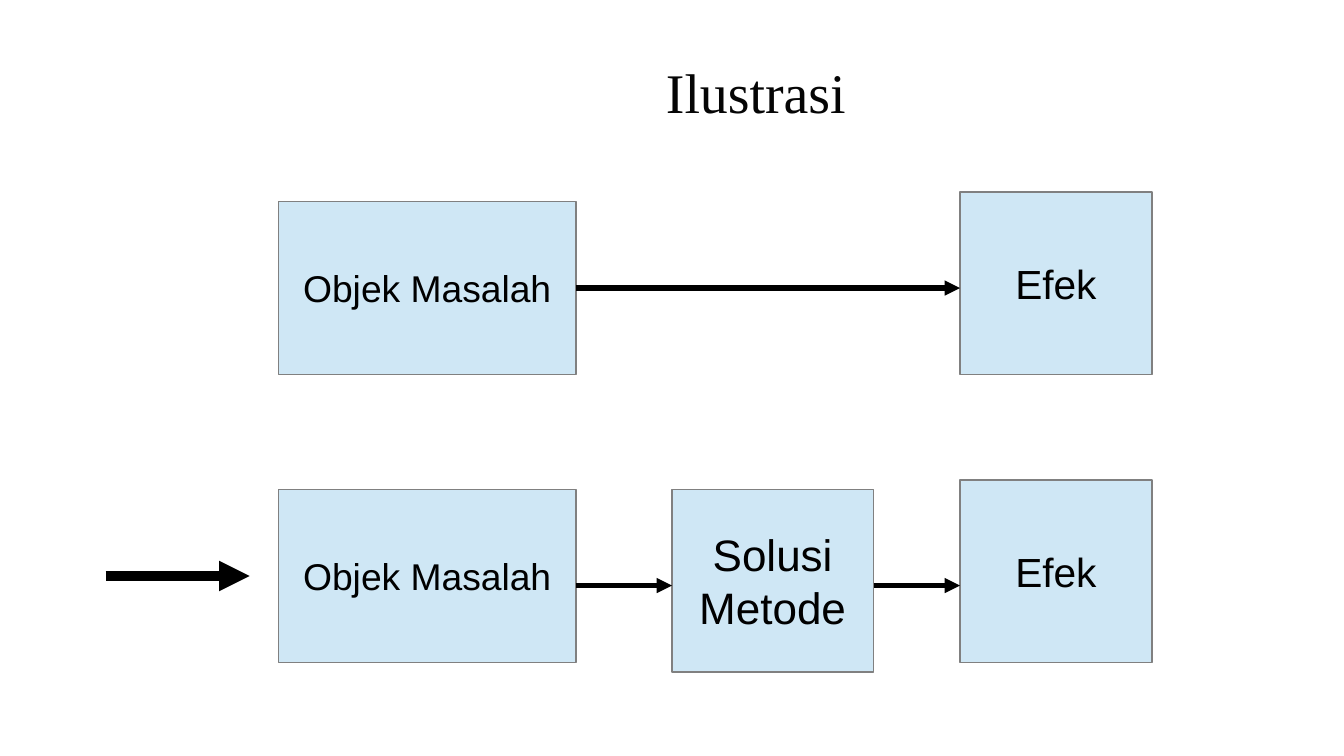
"""Build the slide "Ilustrasi": a problem and its effect, without and with a solution method."""
from pptx import Presentation, util as u
from pptx.dml.color import RGBColor
from pptx.enum import shapes, text
from pptx.oxml.ns import qn
from lxml import etree

COLORS = {"title": "050505", "ink": "000000", "box": "CFE7F5", "border": "808080"}
ROW_TOPS = (4, 10)


def write_text(shape, content, size, font="Arial", color="ink", margins=(0.25, 0.13), wrap=False):
    frame = shape.text_frame
    frame.text = content
    frame.word_wrap = wrap
    frame.auto_size = text.MSO_AUTO_SIZE.NONE
    frame.vertical_anchor = text.MSO_ANCHOR.MIDDLE
    frame.margin_left = frame.margin_right = u.Cm(margins[0])
    frame.margin_top = frame.margin_bottom = u.Cm(margins[1])
    for paragraph in frame.paragraphs:
        paragraph.alignment = text.PP_ALIGN.CENTER
        paragraph.font.size = u.Pt(size)
        paragraph.font.name = font
        paragraph.font.color.rgb = RGBColor.from_string(COLORS[color])


def set_title(slide, content):
    title = slide.shapes.title
    title.left, title.top = u.Cm(4.5), u.Cm(0.6)
    title.width, title.height = u.Cm(22.5), u.Cm(2.6)
    write_text(title, content, 33, font="Times New Roman", color="title", margins=(0, 0), wrap=True)


def add_box(slide, content, left, top, width, height, size):
    shape = slide.shapes.add_shape(
        shapes.MSO_SHAPE.RECTANGLE, u.Cm(left), u.Cm(top), u.Cm(width), u.Cm(height))
    shape.shadow.inherit = False
    shape.fill.solid()
    shape.fill.fore_color.rgb = RGBColor.from_string(COLORS["box"])
    shape.line.color.rgb = RGBColor.from_string(COLORS["border"])
    shape.line.width = u.Pt(0.75)
    write_text(shape, content, size)


def add_arrow(slide, start, end, y, width=3):
    arrow = slide.shapes.add_connector(
        shapes.MSO_CONNECTOR.STRAIGHT, u.Cm(start), u.Cm(y), u.Cm(end), u.Cm(y))
    arrow.line.color.rgb = RGBColor.from_string(COLORS["ink"])
    arrow.line.width = u.Pt(width)
    properties = arrow._element.spPr
    etree.SubElement(properties.find(qn("a:ln")), qn("a:tailEnd"), type="triangle")
    etree.SubElement(properties, qn("a:effectLst"))


def main():
    presentation = Presentation()
    presentation.slide_width, presentation.slide_height = u.Cm(28), u.Cm(15.75)
    slide = presentation.slides.add_slide(presentation.slide_layouts.get_by_name("Title Only"))
    set_title(slide, "Ilustrasi")
    for top in ROW_TOPS:
        add_box(slide, "Objek Masalah", 5.8, top + 0.2, 6.2, 3.6, 22)
        add_box(slide, "Efek", 20, top, 4, 3.8, 24)
    add_box(slide, "Solusi\nMetode", 14, 10.2, 4.2, 3.8, 26)
    add_arrow(slide, 12, 20, 6)
    add_arrow(slide, 12, 14, 12.2)
    add_arrow(slide, 18.2, 20, 12.2)
    add_arrow(slide, 2.2, 5.2, 12, width=6)
    presentation.save("out.pptx")


if __name__ == "__main__":
    main()
